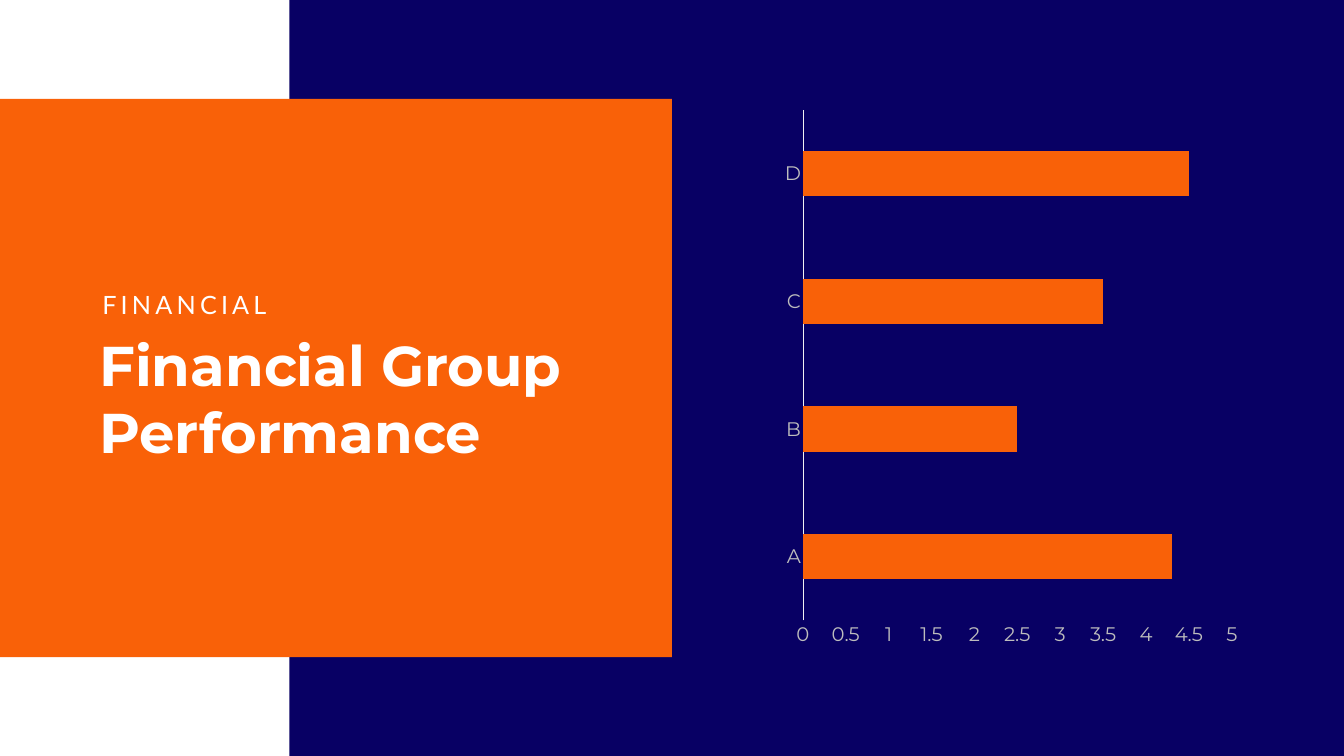
from dataclasses import dataclass

import pptx
import pptx.chart.data
import pptx.dml.color
import pptx.enum.chart
import pptx.enum.shapes
import pptx.enum.text
import pptx.util

Inches = pptx.util.Inches
COLORS = {"navy": "080064", "orange": "F96108", "white": "FFFFFF",
          "label": "BDBDBD", "axis": "F0F0F0"}


@dataclass
class Box:
    left: float
    top: float
    width: float
    height: float

    def lengths(self):
        return [Inches(v) for v in (self.left, self.top, self.width, self.height)]


@dataclass
class Panel:
    box: Box
    color: str


@dataclass
class Heading:
    box: Box
    text: str
    font: dict
    spacing: int = 0


def rgb(name: str) -> pptx.dml.color.RGBColor:
    return pptx.dml.color.RGBColor.from_string(COLORS[name])


def apply_format(target, values: dict) -> None:
    for name, value in values.items():
        setattr(target, name, value)


def paint(fill, color: str) -> None:
    fill.solid()
    fill.fore_color.rgb = rgb(color)


def draw_panel(slide, panel: Panel) -> None:
    block = slide.shapes.add_shape(
        pptx.enum.shapes.MSO_SHAPE.RECTANGLE, *panel.box.lengths())
    block.shadow.inherit = False
    block.line.fill.background()
    paint(block.fill, panel.color)


def draw_heading(slide, heading: Heading) -> None:
    frame = slide.shapes.add_textbox(*heading.box.lengths()).text_frame
    apply_format(frame, {"word_wrap": True,
                         "auto_size": pptx.enum.text.MSO_AUTO_SIZE.SHAPE_TO_FIT_TEXT})
    run = frame.paragraphs[0].add_run()
    run.text = heading.text
    apply_format(run.font, heading.font)
    run.font.color.rgb = rgb("white")
    if heading.spacing:
        run.font._element.set("spc", str(heading.spacing * 100))


def draw_performance(slide, box: Box, scores: dict) -> None:
    data = pptx.chart.data.CategoryChartData()
    data.categories = list(scores)
    data.add_series("Series 1", list(scores.values()))
    chart = slide.shapes.add_chart(
        pptx.enum.chart.XL_CHART_TYPE.BAR_CLUSTERED, *box.lengths(), data).chart
    apply_format(chart, {"has_legend": False, "has_title": False})
    label_font = {"name": "Montserrat", "size": pptx.util.Pt(28)}
    apply_format(chart.font, label_font)

    # Bars
    plot = chart.plots[0]
    apply_format(plot, {"gap_width": 182, "vary_by_categories": False})
    paint(plot.series[0].format.fill, "orange")

    # Axes
    no_tick = pptx.enum.chart.XL_TICK_MARK.NONE
    for axis in (chart.category_axis, chart.value_axis):
        apply_format(axis, {"has_major_gridlines": False,
                            "major_tick_mark": no_tick, "minor_tick_mark": no_tick})
        apply_format(axis.tick_labels.font, label_font)
        axis.tick_labels.font.color.rgb = rgb("label")
    chart.category_axis.format.line.color.rgb = rgb("axis")
    chart.category_axis.format.line.width = pptx.util.Pt(0.75)
    chart.value_axis.format.line.fill.background()
    apply_format(chart.value_axis, {"minimum_scale": 0, "maximum_scale": 5,
                                    "major_unit": 0.5})
    apply_format(chart.value_axis.tick_labels,
                 {"number_format": "General", "number_format_is_linked": False})


presentation = pptx.Presentation()
apply_format(presentation, {"slide_width": Inches(26.66), "slide_height": Inches(15)})
slide = presentation.slides.add_slide(presentation.slide_layouts[6])

# Background panels
for panel in (Panel(Box(5.74, 0, 20.92, 15), "navy"),
              Panel(Box(0, 1.96, 13.33, 11.08), "orange")):
    draw_panel(slide, panel)

# Title and kicker
for heading in (
    Heading(Box(1.87, 6.51, 9.6, 2.79), "Financial Group Performance",
            {"name": "Montserrat", "size": pptx.util.Pt(80), "bold": True}),
    Heading(Box(1.93, 5.7, 3.68, 0.71), "FINANCIAL",
            {"name": "Lato", "size": pptx.util.Pt(36)}, spacing=6),
):
    draw_heading(slide, heading)

# Performance chart
draw_performance(slide, Box(15.38, 1.96, 9.35, 11.08),
                 {"A": 4.3, "B": 2.5, "C": 3.5, "D": 4.5})

presentation.save("out.pptx")
